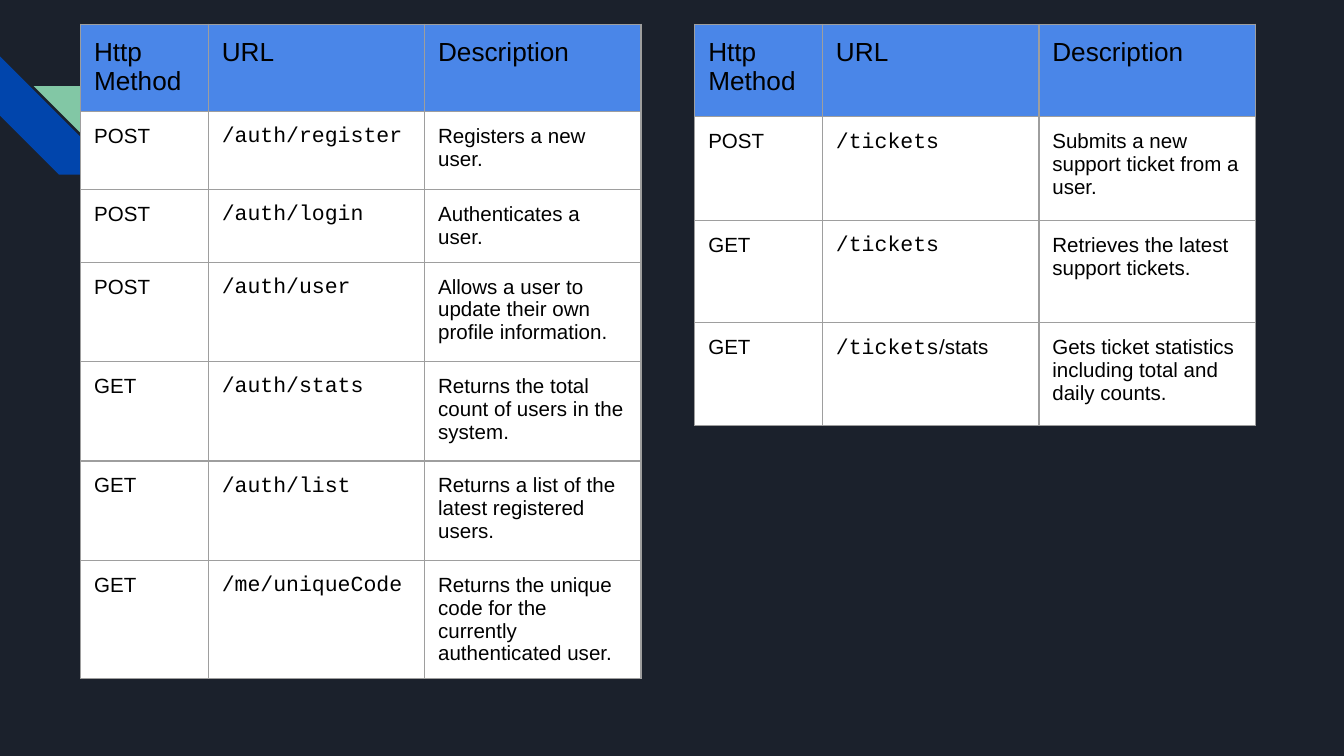
from dataclasses import dataclass

from lxml import etree
from pptx import Presentation
from pptx.dml.color import RGBColor
from pptx.enum import shapes
from pptx.oxml import ns
from pptx.util import Inches, Pt


@dataclass(frozen=True)
class Theme:
    background: str = "1B212C"
    blue_stripe: str = "0145AC"
    green_stripe: str = "82C7A5"
    header_fill: str = "4A86E8"
    body_fill: str = "FFFFFF"
    ink: str = "000000"
    border: str = "9E9E9E"
    border_width: float = 0.75
    sans: str = "Arial"
    mono: str = "Courier New"
    header_size: float = 14
    body_size: float = 11
    code_size: float = 11.5


THEME = Theme()
COLUMN_WIDTHS = (0.95, 1.61, 1.61)
TABLE_TOP = 0.18
CELL_MARGIN = 0.1

HEADERS = ("Http Method", "URL", "Description")
# Each endpoint: method, code part of the URL, plain part of the URL, description
AUTH_ENDPOINTS = [
    ("POST", "/auth/register", "", "Registers a new user."),
    ("POST", "/auth/login", "", "Authenticates a user."),
    ("POST", "/auth/user", "", "Allows a user to update their own profile information."),
    ("GET", "/auth/stats", "", "Returns the total count of users in the system."),
    ("GET", "/auth/list", "", "Returns a list of the latest registered users."),
    ("GET", "/me/uniqueCode", "", "Returns the unique code for the currently authenticated user."),
]
TICKET_ENDPOINTS = [
    ("POST", "/tickets", "", "Submits a new support ticket from a user."),
    ("GET", "/tickets", "", "Retrieves the latest support tickets."),
    ("GET", "/tickets", "/stats", "Gets ticket statistics including total and daily counts."),
]


def rgb(value):
    return RGBColor.from_string(value)


def add_stripe(slide, left, top, rotation, color):
    stripe = slide.shapes.add_shape(
        shapes.MSO_SHAPE.DIAGONAL_STRIPE,
        Inches(left), Inches(top), Inches(0.88), Inches(0.88))
    stripe.rotation = rotation
    stripe.shadow.inherit = False
    stripe.fill.solid()
    stripe.fill.fore_color.rgb = rgb(color)
    stripe.line.fill.background()


def add_borders(cell):
    properties = cell._tc.get_or_add_tcPr()
    for side in ("a:lnL", "a:lnR", "a:lnT", "a:lnB"):
        line = etree.SubElement(properties, ns.qn(side), w=str(Pt(THEME.border_width)))
        fill = etree.SubElement(line, ns.qn("a:solidFill"))
        etree.SubElement(fill, ns.qn("a:srgbClr"), val=THEME.border)


def fill_cell(cell, fill, runs):
    """Style a cell and write its runs, each a (text, font, size) tuple."""
    add_borders(cell)
    cell.fill.solid()
    cell.fill.fore_color.rgb = rgb(fill)
    cell.margin_left = cell.margin_right = Inches(CELL_MARGIN)
    cell.margin_top = cell.margin_bottom = Inches(CELL_MARGIN)
    paragraph = cell.text_frame.paragraphs[0]
    for text, font, size in runs:
        run = paragraph.add_run()
        run.text = text
        run.font.name = font
        run.font.size = Pt(size)
        run.font.color.rgb = rgb(THEME.ink)


def endpoint_runs(method, code, suffix, description):
    """Return the runs of the three cells that describe an endpoint."""
    def plain(text):
        return (text, THEME.sans, THEME.body_size)

    url = [(code, THEME.mono, THEME.code_size)]
    if suffix:
        url.append(plain(suffix))
    return [plain(method)], url, [plain(description)]


def add_endpoint_table(slide, left, row_heights, endpoints):
    table = slide.shapes.add_table(
        len(row_heights), len(COLUMN_WIDTHS), Inches(left), Inches(TABLE_TOP),
        Inches(sum(COLUMN_WIDTHS)), Inches(sum(row_heights))).table
    table.first_row = table.horz_banding = False
    for column, width in zip(table.columns, COLUMN_WIDTHS):
        column.width = Inches(width)
    for row, height in zip(table.rows, row_heights):
        row.height = Inches(height)

    for cell, header in zip(table.rows[0].cells, HEADERS):
        fill_cell(cell, THEME.header_fill, [(header, THEME.sans, THEME.header_size)])
    for row, endpoint in enumerate(endpoints, start=1):
        for cell, runs in zip(table.rows[row].cells, endpoint_runs(*endpoint)):
            fill_cell(cell, THEME.body_fill, runs)


def main():
    deck = Presentation()
    deck.slide_width = Inches(10)
    deck.slide_height = deck.slide_width * 9 // 16
    slide = deck.slides.add_slide(deck.slide_layouts[6])
    slide.background.fill.solid()
    slide.background.fill.fore_color.rgb = rgb(THEME.background)

    add_stripe(slide, 0, 0.42, 270, THEME.blue_stripe)
    add_stripe(slide, 0.25, 0.64, 90, THEME.green_stripe)
    add_endpoint_table(slide, 0.6, [0.65, 0.58, 0.53] + [0.74] * 4, AUTH_ENDPOINTS)
    add_endpoint_table(slide, 5.17, [0.69, 0.77, 0.76, 0.77], TICKET_ENDPOINTS)
    deck.save("out.pptx")


if __name__ == "__main__":
    main()
